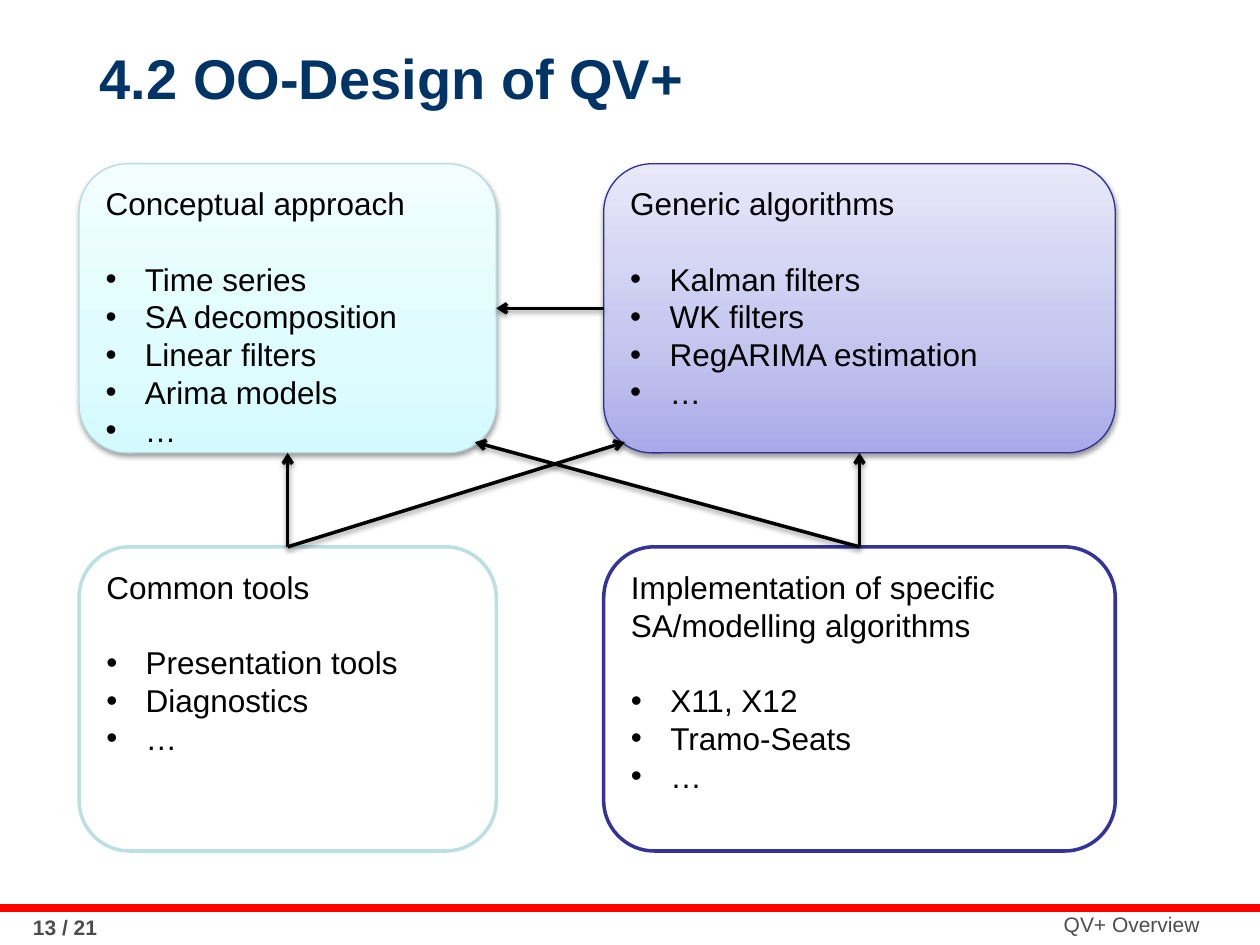
"""Build the slide on the object-oriented design of QV+."""
from pptx import Presentation
from pptx.dml.color import RGBColor as Rgb
from pptx.enum.shapes import MSO_CONNECTOR as Con, MSO_SHAPE as Geo
from pptx.enum.text import MSO_ANCHOR as Anchor, PP_ALIGN as Align
from pptx.oxml import parse_xml as to_xml
from pptx.oxml.ns import nsdecls
from pptx.util import Pt

HEX = {"navy": "003366", "gray": "4D4D4D", "black": "000000", "red": "FF0000",
       "white": "FFFFFF", "aqua": "B6DCDF", "teal": "BBE0E3",
       "indigo": "2F2F98", "blue": "333399"}
FADES = {"aqua": ("D3FBFF", "DFFCFF", "F2FEFF"),
         "indigo": ("A9A9E9", "C4C4EF", "E8E8FA")}
NS = nsdecls("a")
SHADE = (f'<a:effectLst {NS}><a:outerShdw blurRad="{Pt(3.1)}" dist="{Pt(1.6)}" '
         'dir="5400000" rotWithShape="0"><a:srgbClr val="000000">'
         '<a:alpha val="38000"/></a:srgbClr></a:outerShdw></a:effectLst>')


def add_run(para, text, size, color, bold=False):
    run = para.add_run()
    run.text = text
    font = run.font
    font.name, font.size, font.bold = "Arial", Pt(size), bold
    font.color.rgb = Rgb.from_string(HEX[color])


def add_line(start, end, color, width, effect):
    line = shapes.add_connector(Con.STRAIGHT, *map(Pt, start + end))
    line.line.color.rgb = Rgb.from_string(HEX[color])
    line.line.width = Pt(width)
    line._element.spPr.append(to_xml(effect))
    return line


prs = Presentation()
prs.slide_width, prs.slide_height = Pt(720), Pt(540)
shapes = prs.slides.add_slide(prs.slide_layouts[6]).shapes

add_line((0, 519), (720, 519), "red", 4.5, f"<a:effectLst {NS}/>")
labels = [
    ("QV+ Overview", (360, 517.2, 332.6, 21.6), 12, "gray", False, Align.RIGHT),
    ("13 / 21", (0, 519, 62.6, 21.6), 12, "gray", True, Align.RIGHT),
    ("4.2 OO-Design of QV+", (50, -1, 636.5, 90), 32, "navy", True, Align.LEFT),
]
for text, area, size, color, bold, align in labels:
    frame = shapes.add_textbox(*map(Pt, area)).text_frame
    frame.word_wrap = True
    frame.vertical_anchor = Anchor.MIDDLE
    frame.paragraphs[0].alignment = align
    add_run(frame.paragraphs[0], text, size, color, bold)

cols = [(45.2, 238.4), (345, 292.3)]
rows = [(93.6, 165.2), (312.5, 173.8)]
cards = [
    (0, 0, "aqua", "Conceptual approach",
     ["Time series", "SA decomposition", "Linear filters", "Arima models", "…"]),
    (1, 0, "indigo", "Generic algorithms",
     ["Kalman filters", "WK filters", "RegARIMA estimation", "…"]),
    (0, 1, "teal", "Common tools", ["Presentation tools", "Diagnostics", "…"]),
    (1, 1, "blue", "Implementation of specific SA/modelling algorithms",
     ["X11, X12", "Tramo-Seats", "…"]),
]
boxes = {}
for col, row, color, head, items in cards:
    (left, width), (top, height) = cols[col], rows[row]
    box = shapes.add_shape(Geo.ROUNDED_RECTANGLE, *map(Pt, (left, top, width, height)))
    boxes[col, row] = box
    box.line.color.rgb = Rgb.from_string(HEX[color])
    box.line.width = Pt(2 if row else 0.75)
    if color in FADES:
        stops = "".join(f'<a:gs pos="{pos}"><a:srgbClr val="{tint}"/></a:gs>'
                        for pos, tint in zip((0, 35000, 100000), FADES[color]))
        props = box._element.spPr
        props.insert(2, to_xml(f'<a:gradFill {NS} rotWithShape="1"><a:gsLst>{stops}'
                               '</a:gsLst><a:lin ang="16200000" scaled="0"/></a:gradFill>'))
        props.append(to_xml(SHADE))
    else:
        box.fill.solid()
        box.fill.fore_color.rgb = Rgb.from_string(HEX["white"])
        box.shadow.inherit = False
    frame = box.text_frame
    frame.word_wrap = True
    frame.vertical_anchor = Anchor.TOP
    para = frame.paragraphs[0]
    para.space_after = Pt(21.6)
    add_run(para, head, 18, "black")
    for item in items:
        para = frame.add_paragraph()
        props = para._p.get_or_add_pPr()
        props.set("marL", str(Pt(22.5)))
        props.set("indent", str(-Pt(22.5)))
        props.append(to_xml(f'<a:buFont {NS} typeface="Arial"/>'))
        props.append(to_xml(f'<a:buChar {NS} char="•"/>'))
        add_run(para, item, 18, "black")
    for para in frame.paragraphs:
        para.alignment = Align.LEFT
        para.line_spacing = Pt(21.6)

links = [
    ((1, 0), 1, (0, 0), 3),
    ((1, 1), 0, (0, 0), None),
    ((1, 1), 0, (1, 0), 2),
    ((0, 1), 0, (0, 0), 2),
    ((0, 1), 0, (1, 0), None),
]
corners = {(0, 0): (271.4, 252.7), (1, 0): (357.1, 252.7)}
for source, out, target, site in links:
    link = add_line((0, 0), corners[target], "black", 2, SHADE)
    link.begin_connect(boxes[source], out)
    if site is not None:
        link.end_connect(boxes[target], site)
    link.line._get_or_add_ln().append(to_xml(f'<a:tailEnd {NS} type="arrow"/>'))

prs.save("out.pptx")
